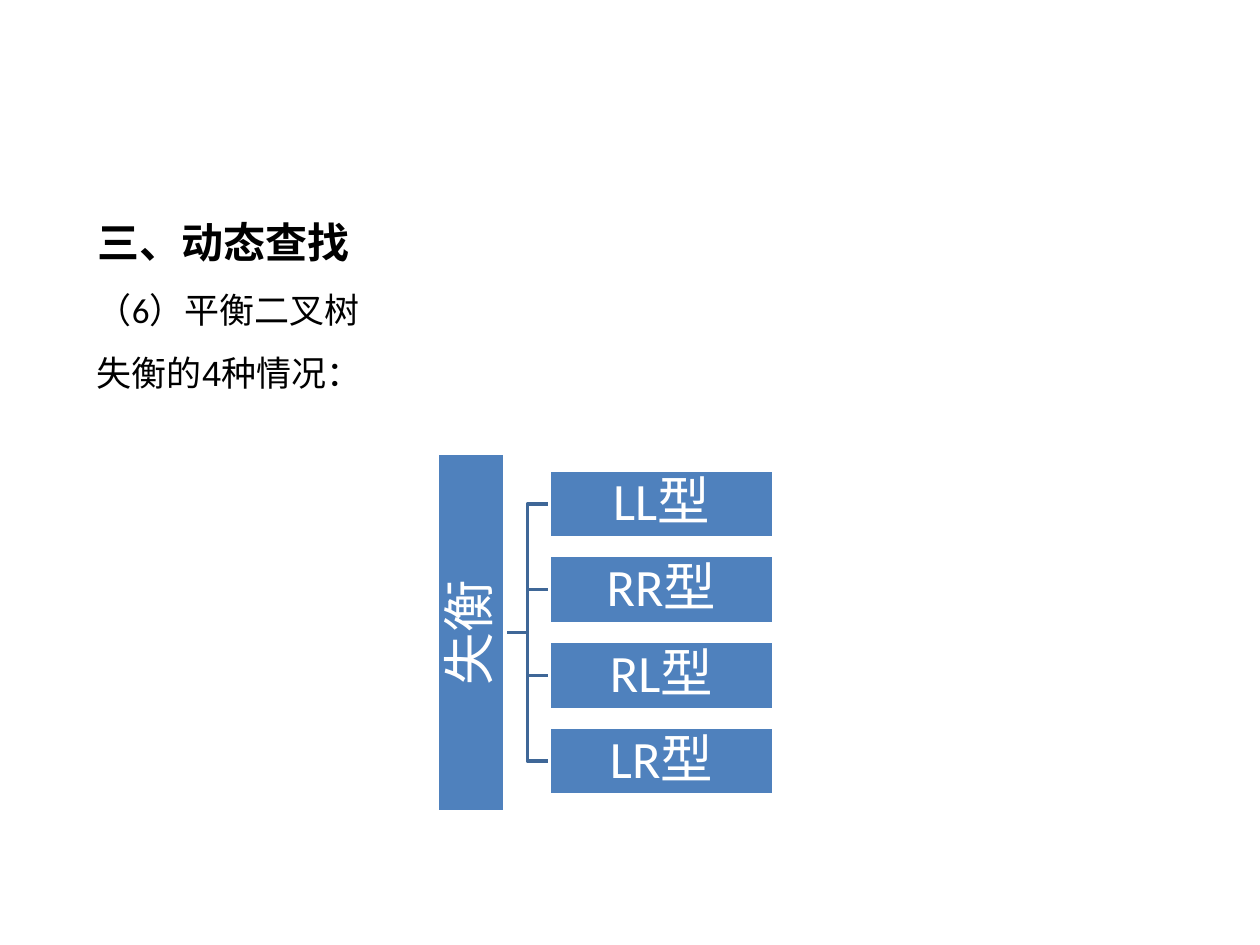
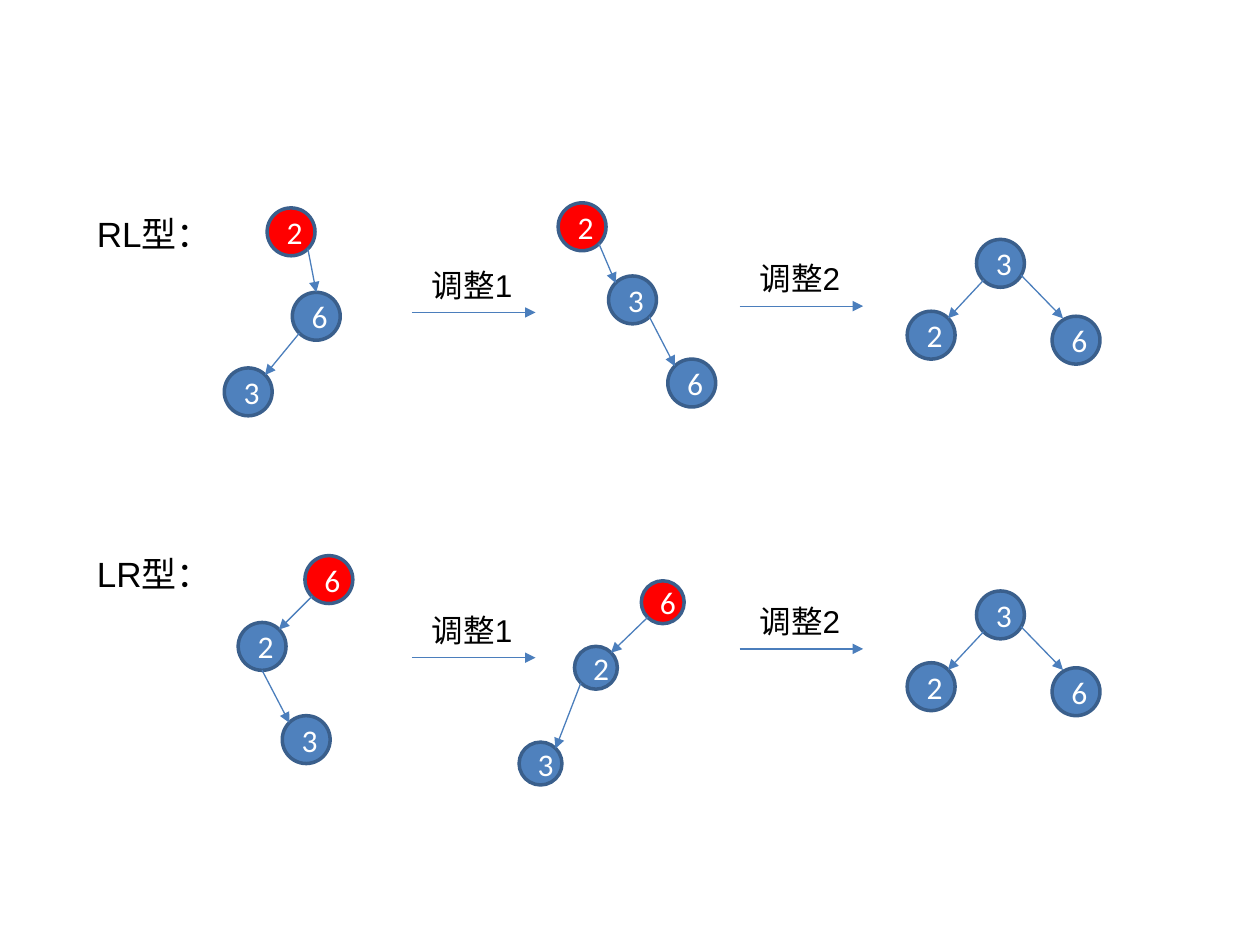
from dataclasses import dataclass
from typing import Optional

from lxml import etree
from pptx import Presentation
from pptx.dml.color import RGBColor
from pptx.enum import shapes, text
from pptx.oxml import ns
from pptx import util as u

PX = 9144  # EMU in one px, 100 px to the inch
COLORS = {
    "black": "000000",
    "white": "FFFFFF",
    "blue": "4F81BD",
    "red": "FF0000",
    "outline": "3A5F8C",
    "bracket": "3F6797",
    "arrow": "4B7EBC",
}
NEAR, FAR = 0.15, 0.85  # where a circle's diagonals meet its outline
LEFT = 67


@dataclass(frozen=True)
class Style:
    size: int
    font: str
    color: str = "black"
    bold: bool = False


@dataclass(frozen=True)
class Node:
    value: str
    x: int
    y: int
    parent: Optional[int] = None  # index in the tree; None marks the root
    leave: Optional[tuple[float, float]] = None  # point on the parent, as fractions
    enter: Optional[tuple[float, float]] = None  # point on this node, as fractions
    nudge: tuple[int, int] = (0, 0)


@dataclass(frozen=True)
class Tree:
    nodes: tuple[Node, ...]
    size: int = 38
    root_color: str = "red"
    dy: int = 0


@dataclass(frozen=True)
class Step:
    label: str
    x: int
    y: int
    width: int


@dataclass(frozen=True)
class Case:
    label: str
    y: int
    steps: tuple[Step, ...]
    trees: tuple[Tree, ...]


HEADING = Style(24, "Calibri", bold=True)
BODY = Style(20, "Calibri")
BODY_ARIAL = Style(20, "Arial")
STEP = Style(18, "Arial")
BOX = Style(30, "Calibri", "white")
NODE = Style(18, "Calibri", "white")

# Balanced result that both rotations end in
BALANCED = (
    Node("3", 775, 190),
    Node("2", 720, 247, 0),
    Node("6", 835, 251, 0, nudge=(3, -4)),
)

CASES = (
    Case("RL型：", 147,
         (Step("调整1", 327, 248, 91), Step("调整2", 587, 243, 98)),
         (Tree((Node("2", 212, 165),
                Node("6", 232, 232, 0, enter=(0.5, 0)),
                Node("3", 178, 292, 1))),
          Tree((Node("2", 443, 161),
                Node("3", 483, 219, 0),
                Node("6", 530, 285, 1))),
          Tree(BALANCED, root_color="blue"))),
    Case("LR型：", 417,
         (Step("调整1", 327, 522, 91), Step("调整2", 587, 515, 98)),
         (Tree((Node("6", 242, 441),
                Node("2", 189, 494, 0),
                Node("3", 224, 568, 1, leave=(0.5, 1)))),
          Tree((Node("6", 509, 461),
                Node("2", 456, 513, 0),
                Node("3", 412, 589, 1)), size=34),
          Tree(BALANCED, root_color="blue", dy=279))),
)


def px(*lengths: float) -> list[u.Emu]:
    return [u.Emu(round(length * PX)) for length in lengths]


def rgb(name: str) -> RGBColor:
    return RGBColor.from_string(COLORS[name])


def write(p, content: str, style: Style, align=None, spacing: Optional[float] = None) -> None:
    p.alignment = align
    p.line_spacing = spacing
    r = p.add_run()
    r.text = content
    r.font.size = u.Pt(style.size)
    r.font.name = style.font
    r.font.bold = style.bold
    r.font.color.rgb = rgb(style.color)


def add_text(slide, box: tuple[int, ...], lines: list[tuple[str, Style]],
             align=None, spacing: Optional[float] = None) -> None:
    tf = slide.shapes.add_textbox(*px(*box)).text_frame
    tf.word_wrap = True
    for i, (content, style) in enumerate(lines):
        p = tf.add_paragraph() if i else tf.paragraphs[0]
        write(p, content, style, align, spacing)


def add_block(slide, kind, box: tuple[int, ...], fill: str, line: str,
              content: str, style: Style, spacing: Optional[float] = None):
    sp = slide.shapes.add_shape(kind, *px(*box))
    sp.shadow.inherit = False
    sp.fill.solid()
    sp.fill.fore_color.rgb = rgb(fill)
    sp.line.color.rgb = rgb(line)
    sp.line.width = u.Pt(2)
    tf = sp.text_frame
    tf.vertical_anchor = text.MSO_ANCHOR.MIDDLE
    write(tf.paragraphs[0], content, style, text.PP_ALIGN.CENTER, spacing)
    return sp


def add_line(slide, kind, ends: tuple[float, ...], color: str, width: float, arrow: bool = False):
    cxn = slide.shapes.add_connector(kind, *px(*ends))
    cxn.line.color.rgb = rgb(color)
    cxn.line.width = u.Pt(width)
    if arrow:
        etree.SubElement(cxn.line._get_or_add_ln(), ns.qn("a:tailEnd"), type="triangle")
    etree.SubElement(cxn._element.spPr, ns.qn("a:effectLst"))
    return cxn


def add_arrow(slide, *ends: float) -> None:
    add_line(slide, shapes.MSO_CONNECTOR.STRAIGHT, ends, "arrow", 0.75, arrow=True)


def add_box(slide, box: tuple[int, ...], content: str):
    sp = add_block(slide, shapes.MSO_SHAPE.RECTANGLE, box, "blue", "white", content, BOX, 0.9)
    tf = sp.text_frame
    tf.margin_left, tf.margin_top, tf.margin_right, tf.margin_bottom = px(2, 2, 2, 2)
    return sp


def add_tree(slide, tree: Tree) -> None:
    for node in tree.nodes:
        is_root = node.parent is None
        add_block(slide, shapes.MSO_SHAPE.OVAL, (node.x, node.y + tree.dy, tree.size, tree.size),
                  tree.root_color if is_root else "blue", "outline", node.value, NODE)
        if is_root:
            continue
        # Edge between the facing diagonals of the two circles
        parent = tree.nodes[node.parent]
        to_right = node.x > parent.x
        leave = node.leave or (FAR if to_right else NEAR, FAR)
        enter = node.enter or (NEAR if to_right else FAR, NEAR)
        ends = [origin + fraction * tree.size + shift
                for circle, point in ((parent, leave), (node, enter))
                for origin, fraction, shift in zip((circle.x, circle.y + tree.dy), point, node.nudge)]
        add_arrow(slide, *ends)


def build_overview(prs) -> None:
    slide = prs.slides.add_slide(prs.slide_layouts[5])
    justify = text.PP_ALIGN.JUSTIFY

    # Heading and lead-in
    title = slide.shapes.title
    title.left, title.top, title.width, title.height = px(LEFT, 147, 835, 65)
    tf = title.text_frame
    tf.auto_size = text.MSO_AUTO_SIZE.NONE
    tf.vertical_anchor = text.MSO_ANCHOR.TOP
    write(tf.paragraphs[0], "三、动态查找", HEADING, justify, 1.5)
    add_text(slide, (LEFT, 207, 835, 105),
             [("（6）平衡二叉树", BODY), ("失衡的4种情况：", BODY_ARIAL)], justify, 1.5)

    # Bracket lies behind the boxes it joins
    kinds = ("LL型", "RR型", "RL型", "LR型")
    tops = [373 + 68 * i for i in range(len(kinds))]
    brackets = [add_line(slide, shapes.MSO_CONNECTOR.ELBOW, (401, 502, 436, top + 27), "bracket", 2)
                for top in tops]
    root = add_box(slide, (347, 360, 54, 284), "失衡")
    root.text_frame._txBody.bodyPr.set("vert", "vert270")
    for kind, top, bracket in zip(kinds, tops, brackets):
        box = add_box(slide, (436, top, 178, 54), kind)
        bracket.begin_connect(root, 3)
        bracket.end_connect(box, 1)


def build_rotations(prs) -> None:
    slide = prs.slides.add_slide(prs.slide_layouts[6])
    for case in CASES:
        add_text(slide, (LEFT, case.y, 127, 54), [(case.label, BODY_ARIAL)],
                 text.PP_ALIGN.JUSTIFY, 1.5)
        for step in case.steps:
            add_arrow(slide, step.x, step.y, step.x + 98, step.y)
            add_text(slide, (step.x + 6, step.y - 42, step.width, 40), [(step.label, STEP)])
        for tree in case.trees:
            add_tree(slide, tree)


def main() -> None:
    prs = Presentation()
    prs.slide_width, prs.slide_height = px(1000, 750)
    build_overview(prs)
    build_rotations(prs)
    prs.save("out.pptx")


if __name__ == "__main__":
    main()
